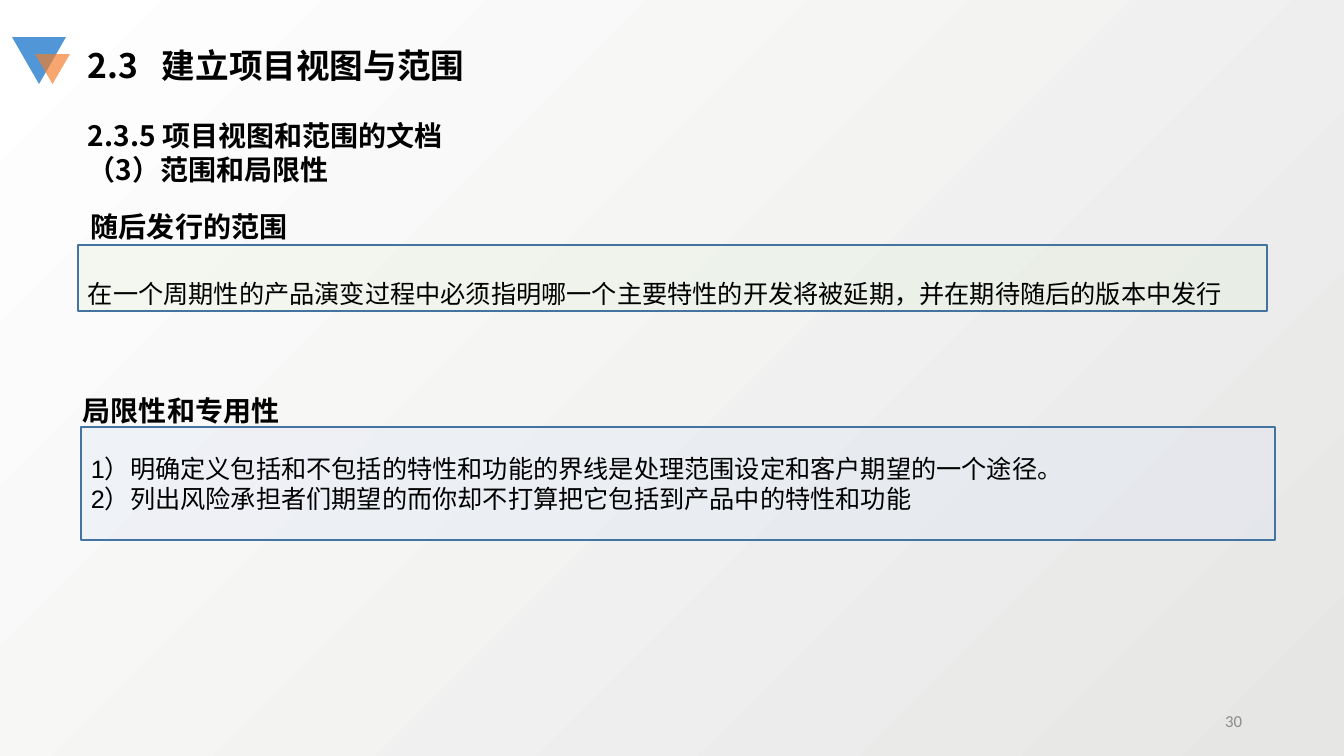
"""Build the slide on the scope and limitations of a project document."""
from lxml import etree
from pptx import Presentation
from pptx.dml.color import RGBColor
from pptx.enum.shapes import MSO_SHAPE as Preset
from pptx.enum.text import MSO_ANCHOR as Anchor, PP_ALIGN as Align
from pptx.oxml.ns import qn
from pptx.util import Pt

PX = 914400 / 100.8
BLACK = RGBColor(0x00, 0x00, 0x00)
GRAY = RGBColor(0x8C, 0x8C, 0x8C)
SILVER = RGBColor(0xE6, 0xE6, 0xE5)
WHITE = RGBColor(0xFF, 0xFF, 0xFF)
BLUE = RGBColor(0x51, 0x97, 0xD7)
ORANGE = RGBColor(0xF3, 0x7D, 0x2A)
BORDER = RGBColor(0x43, 0x73, 0x9E)
PALE_GREEN = RGBColor(0xE2, 0xF0, 0xD9)
PALE_BLUE = RGBColor(0xDA, 0xE3, 0xF3)
CJK_FONT = "Noto Sans CJK SC"


def write_text(shape, text, size=20, font="Arial", color=BLACK, bold=False,
               align=Align.LEFT, anchor=Anchor.TOP, spacing=None, tab=None):
    frame = shape.text_frame
    frame.word_wrap = True
    frame.vertical_anchor = anchor
    for index, line in enumerate(text.split("\n")):
        paragraph = frame.add_paragraph() if index else frame.paragraphs[0]
        paragraph.alignment = align
        if spacing:
            paragraph.line_spacing = spacing
        if tab:
            stops = etree.SubElement(paragraph._p.get_or_add_pPr(), qn("a:tabLst"))
            etree.SubElement(stops, qn("a:tab"), pos=str(round(tab * PX)), algn="l")
        run = paragraph.add_run()
        run.text = line
        run.font.size = Pt(size)
        run.font.name = font
        run.font.bold = bold
        run.font.color.rgb = color
        etree.SubElement(run._r.get_or_add_rPr(), qn("a:ea"), typeface=CJK_FONT)


def add_filled(shapes, preset, box, color, opacity=100):
    shape = shapes.add_shape(preset, *[round(length * PX) for length in box])
    shape.shadow.inherit = False
    shape.fill.solid()
    shape.fill.fore_color.rgb = color
    shape.line.fill.background()
    if opacity < 100:
        color_element = shape._element.spPr.find(qn("a:solidFill"))[0]
        etree.SubElement(color_element, qn("a:alpha"), val=str(opacity * 1000))
    return shape


presentation = Presentation()
presentation.slide_width = round(1344 * PX)
presentation.slide_height = round(756 * PX)
slide = presentation.slides.add_slide(presentation.slide_layouts[6])

background = slide.background.fill
background.gradient()
background.gradient_angle = 135
for stop, color in zip(background.gradient_stops, (SILVER, WHITE)):
    stop.color.rgb = color

emblem = slide.shapes.add_group_shape()
for box, color, opacity in (
    ((12, 37, 54, 47), BLUE, 100),
    ((35, 54, 35, 30), ORANGE, 68),
):
    triangle = add_filled(emblem.shapes, Preset.ISOSCELES_TRIANGLE, box, color, opacity)
    triangle.rotation = 180

heading = {"bold": True, "spacing": 2}
labels = (
    ((950, 701, 302, 40), "30",
     {"size": 12, "font": "Calibri", "color": GRAY, "align": Align.RIGHT,
      "anchor": Anchor.MIDDLE}),
    ((78, 40, 856, 50), "2.3\t建立项目视图与范围",
     {"size": 24, "font": CJK_FONT, "bold": True, "tab": 74}),
    ((81, 171, 1107, 66), "随后发行的范围", heading),
    ((73, 355, 1194, 66), "局限性和专用性", heading),
    ((78, 114, 856, 78), "2.3.5 项目视图和范围的文档\n（3）范围和局限性",
     {"font": CJK_FONT, "bold": True}),
)
for box, text, style in labels:
    label = slide.shapes.add_textbox(*[round(length * PX) for length in box])
    write_text(label, text, **style)

panels = (
    ((78, 245, 1189, 66), PALE_GREEN, 2,
     "在一个周期性的产品演变过程中必须指明哪一个主要特性的开发将被延期，并在期待随后的版本中发行"),
    ((81, 427, 1194, 113), PALE_BLUE, None,
     "1）明确定义包括和不包括的特性和功能的界线是处理范围设定和客户期望的一个途径。\n"
     "2）列出风险承担者们期望的而你却不打算把它包括到产品中的特性和功能"),
)
for box, color, spacing, text in panels:
    panel = add_filled(slide.shapes, Preset.RECTANGLE, box, color, 30)
    panel.line.color.rgb = BORDER
    panel.line.width = Pt(1)
    write_text(panel, text, size=18, anchor=Anchor.MIDDLE, spacing=spacing)

presentation.save("out.pptx")
